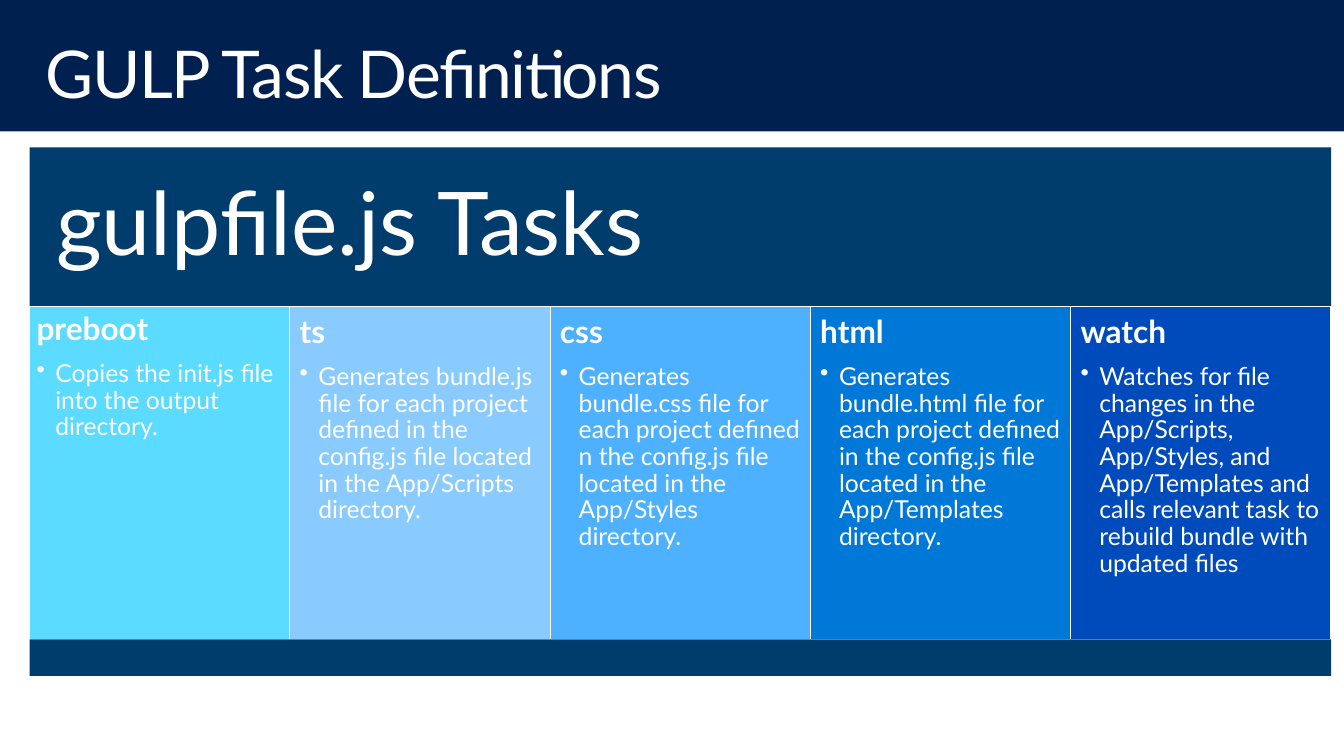
from lxml.etree import SubElement
from pptx import Presentation
from pptx.dml.color import RGBColor
from pptx.enum.shapes import MSO_SHAPE
from pptx.enum.text import MSO_ANCHOR, MSO_AUTO_SIZE, PP_ALIGN
from pptx.oxml.ns import qn
from pptx.util import Inches, Pt

COLORS = {
    "back": "002050", "white": "FFFFFF", "band": "003C6C",
    "preboot": "5ADBFF", "ts": "89CBFF", "css": "4EB1FF",
    "html": "0078D7", "watch": "004BBC",
}
TASKS = {
    "preboot": "Copies the init.js file into the output directory.",
    "ts": "Generates bundle.js file for each project defined in the "
          "config.js file located in the App/Scripts directory.",
    "css": "Generates bundle.css file for each project defined n the "
           "config.js file located in the App/Styles directory.",
    "html": "Generates bundle.html file for each project defined in the "
            "config.js file located in the App/Templates directory.",
    "watch": "Watches for file changes in the App/Scripts, App/Styles, and "
             "App/Templates and calls relevant task to rebuild bundle with "
             "updated files",
}


def color(name):
    return RGBColor.from_string(COLORS[name])


def add_box(slide, box, fill, line=None):
    shape = slide.shapes.add_shape(MSO_SHAPE.RECTANGLE, *map(Inches, box))
    shape.shadow.inherit = False
    shape.fill.solid()
    shape.fill.fore_color.rgb = color(fill)
    if line:
        shape.line.color.rgb = color(line)
        shape.line.width = Pt(0.85)
    else:
        shape.line.fill.background()
    return shape


def set_frame(shape, inset, anchor=MSO_ANCHOR.TOP):
    frame = shape.text_frame
    frame.word_wrap = True
    frame.auto_size = MSO_AUTO_SIZE.NONE
    frame.vertical_anchor = anchor
    side, top = inset
    frame.margin_left = frame.margin_right = Inches(side)
    frame.margin_top = frame.margin_bottom = Inches(top)
    return frame


def write(para, text, size, bold=False, after=0, bullet=False, track=0):
    """Fill a paragraph; track is letter spacing in points."""
    if bullet:
        props = para._p.get_or_add_pPr()
        props.set("marL", str(Inches(0.19)))
        props.set("indent", str(-Inches(0.19)))
        SubElement(props, qn("a:buChar")).set("char", "•")
    para.alignment = PP_ALIGN.LEFT
    para.line_spacing = 0.9
    para.space_before = Pt(0)
    para.space_after = Pt(after)
    run = para.add_run()
    run.text = text
    run.font.name = "Lato"
    run.font.size = Pt(size)
    run.font.bold = bold
    run.font.color.rgb = color("white")
    if track:
        run._r.get_or_add_rPr().set("spc", str(track * 100))


def add_title(slide, box, text):
    title = slide.shapes.title
    title.left, title.top, title.width, title.height = map(Inches, box)
    frame = set_frame(title, (0.16, 0.1))
    write(frame.paragraphs[0], text, 48, track=-1)


def add_task(slide, box, name, text, inset):
    frame = set_frame(add_box(slide, box, name, "white"), (inset, inset))
    write(frame.paragraphs[0], name, 23, bold=True, after=10)
    write(frame.add_paragraph(), text, 18, bullet=True, after=3)


def add_panel(slide, box):
    """Header band, a row of task columns and a footer band."""
    left, top, width, height = box
    head, foot = 1.61, 0.37
    band = add_box(slide, (left, top, width, head), "band")
    frame = set_frame(band, (0.27, 0.27), MSO_ANCHOR.MIDDLE)
    write(frame.paragraphs[0], "gulpfile.js Tasks", 64)

    step = width / len(TASKS)
    for i, (name, text) in enumerate(TASKS.items()):
        cell = (left + i * step, top + head, step, height - head - foot)
        add_task(slide, cell, name, text, 0.1 if i else 0.07)
    add_box(slide, (left, top + height - foot, width, foot), "band")


def main():
    deck = Presentation()
    deck.slide_width, deck.slide_height = Inches(13.6), Inches(7.65)
    slide = deck.slides.add_slide(deck.slide_layouts[5])
    slide.background.fill.solid()
    slide.background.fill.fore_color.rgb = color("back")
    add_box(slide, (0, 1.33, 13.6, 6.32), "white")
    add_title(slide, (0.3, 0.32, 13, 1), "GULP Task Definitions")
    add_panel(slide, (0.3, 1.49, 13.17, 5.35))
    deck.save("out.pptx")


if __name__ == "__main__":
    main()
